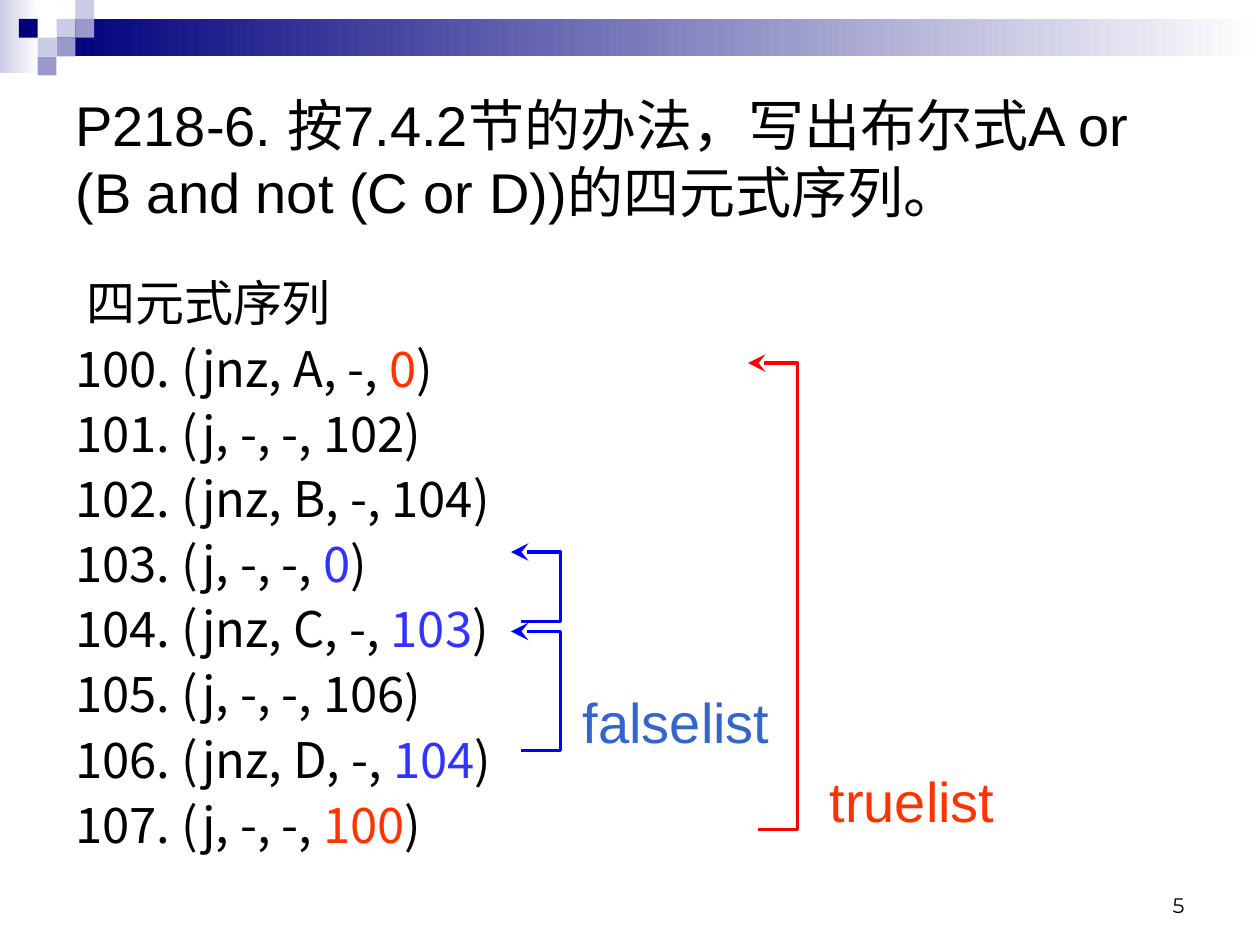
from lxml.etree import SubElement
from pptx import Presentation
from pptx.dml.color import RGBColor
from pptx.enum.shapes import MSO_SHAPE
from pptx.enum.text import MSO_ANCHOR, PP_ALIGN
from pptx.oxml.ns import qn
from pptx.util import Cm, Pt

WHITE = RGBColor(0xFF, 0xFF, 0xFF)
BLACK = RGBColor(0, 0, 0)
NAVY = RGBColor(0, 0, 0x7D)
LAVENDER = RGBColor(0xCC, 0xCC, 0xE6)
PERIWINKLE = RGBColor(0x99, 0x99, 0xCC)
BLUE = RGBColor(0, 0, 0xFF)
RED = RGBColor(0xFF, 0, 0)
TRUE_COLOR = RGBColor(0xFF, 0x33, 0)
FALSE_COLOR = RGBColor(0x33, 0x33, 0xFF)
FALSE_LABEL = RGBColor(0x33, 0x66, 0xCC)

CJK_FONT = "Noto Sans CJK SC"
HANGING = 0.97
HEADING_OFFSET = 0.22
QUADRUPLES = [
    ("100. (jnz, A, -, ", "0", TRUE_COLOR),
    ("101. (j, -, -, ", "102", BLACK),
    ("102. (jnz, B, -, ", "104", BLACK),
    ("103. (j, -, -, ", "0", FALSE_COLOR),
    ("104. (jnz, C, -, ", "103", FALSE_COLOR),
    ("105. (j, -, -, ", "106", BLACK),
    ("106. (jnz, D, -, ", "104", FALSE_COLOR),
    ("107. (j, -, -, ", "100", TRUE_COLOR),
]


def add_run(paragraph, text, size, font, color):
    run = paragraph.add_run()
    run.text = text
    run.font.size = Pt(size)
    run.font.color.rgb = color
    run.font.name = font
    SubElement(run.font._element, qn("a:ea")).set("typeface", CJK_FONT)


def add_text_box(slide, left, top, width, height, anchor=MSO_ANCHOR.TOP, wrap=True):
    box = slide.shapes.add_textbox(Cm(left), Cm(top), Cm(width), Cm(height))
    box.text_frame.word_wrap = wrap
    box.text_frame.vertical_anchor = anchor
    return box.text_frame


def add_line_of_text(slide, box, text, size, font, color,
                     alignment=PP_ALIGN.LEFT, anchor=MSO_ANCHOR.TOP, wrap=True):
    paragraph = add_text_box(slide, *box, anchor, wrap).paragraphs[0]
    paragraph.alignment = alignment
    add_run(paragraph, text, size, font, color)


def add_rectangle(slide, left, top, width, height, color, fades=False):
    shape = slide.shapes.add_shape(
        MSO_SHAPE.RECTANGLE, Cm(left), Cm(top), Cm(width), Cm(height))
    shape.shadow.inherit = False
    shape.line.fill.background()
    if fades:
        shape.fill.gradient()
        shape.fill.gradient_angle = 0
        for stop, stop_color in zip(shape.fill.gradient_stops, (color, WHITE)):
            stop.color.rgb = stop_color
    else:
        shape.fill.solid()
        shape.fill.fore_color.rgb = color


def add_banner(slide, left, top, width):
    cell = 0.38
    add_rectangle(slide, left, top, 0.79, 1.47, LAVENDER, fades=True)
    add_rectangle(slide, left + 3 * cell, top + cell, width - 3 * cell, 2 * cell,
                  NAVY, fades=True)
    squares = [(3, 1, LAVENDER), (4, 0, LAVENDER), (4, 1, PERIWINKLE),
               (2, 2, LAVENDER), (1, 1, NAVY), (3, 2, PERIWINKLE),
               (2, 3, PERIWINKLE)]
    for column, row, color in squares:
        add_rectangle(slide, left + column * cell, top + row * cell, cell, cell, color)


def format_body_paragraph(paragraph, first_line=0):
    paragraph.line_spacing = 0.9
    properties = paragraph._p.get_or_add_pPr()
    properties.set("marL", str(Cm(HANGING)))
    properties.set("indent", str(Cm(first_line - HANGING)))


def add_quadruples(slide, left, top, width, height):
    text_frame = add_text_box(slide, left, top, width, height)
    heading = text_frame.paragraphs[0]
    format_body_paragraph(heading, HEADING_OFFSET)
    add_run(heading, "四元式序列", 28, CJK_FONT, BLACK)
    for opening, target, color in QUADRUPLES:
        paragraph = text_frame.add_paragraph()
        format_body_paragraph(paragraph)
        paragraph.space_before = Pt(7)
        for text, text_color in ((opening, BLACK), (target, color), (")", BLACK)):
            add_run(paragraph, text, 28, CJK_FONT, text_color)


def add_chain_arrow(slide, left, top, height, color):
    right, bottom = left + 1, top + height
    builder = slide.shapes.build_freeform(Cm(left + 0.2), Cm(bottom))
    builder.add_line_segments(
        [(Cm(right), Cm(bottom)), (Cm(right), Cm(top)), (Cm(left), Cm(top))],
        close=False)
    shape = builder.convert_to_shape()
    shape.shadow.inherit = False
    shape.fill.background()
    shape.line.color.rgb = color
    shape.line.width = Pt(2)
    SubElement(shape.line._get_or_add_ln(), qn("a:tailEnd"),
               type="stealth", w="lg", len="lg")


def add_chains(slide, left, top):
    add_chain_arrow(slide, left, top + 5.41, 2.4, BLUE)
    add_chain_arrow(slide, left, top + 3.81, 1.4, BLUE)
    add_chain_arrow(slide, left + 4.78, top, 9.4, RED)
    labels = [("truelist", 6.17, 8, 3.84, TRUE_COLOR),
              ("falselist", 1.2, 6.41, 4.27, FALSE_LABEL)]
    for text, across, down, width, color in labels:
        add_line_of_text(slide, (left + across, top + down, width, 1.62), text,
                         32, "Arial", color, PP_ALIGN.CENTER, wrap=False)


def main():
    presentation = Presentation()
    presentation.slide_width = Cm(25.4)
    presentation.slide_height = Cm(19.05)
    slide = presentation.slides.add_slide(presentation.slide_layouts[6])
    add_banner(slide, 0, 0, 25.4)
    add_line_of_text(
        slide, (1.27, 1.27, 22.86, 3.81),
        "P218-6. 按7.4.2节的办法，写出布尔式A or (B and not (C or D))的四元式序列。",
        32, "Arial", BLACK, anchor=MSO_ANCHOR.MIDDLE)
    add_quadruples(slide, 1.27, 5.51, 22.86, 12.01)
    add_chains(slide, 10.3, 7.32)
    add_line_of_text(slide, (18.2, 17.35, 5.93, 1.27), "5", 12, "Montserrat", BLACK,
                     PP_ALIGN.RIGHT, MSO_ANCHOR.BOTTOM)
    presentation.save("out.pptx")


if __name__ == "__main__":
    main()
